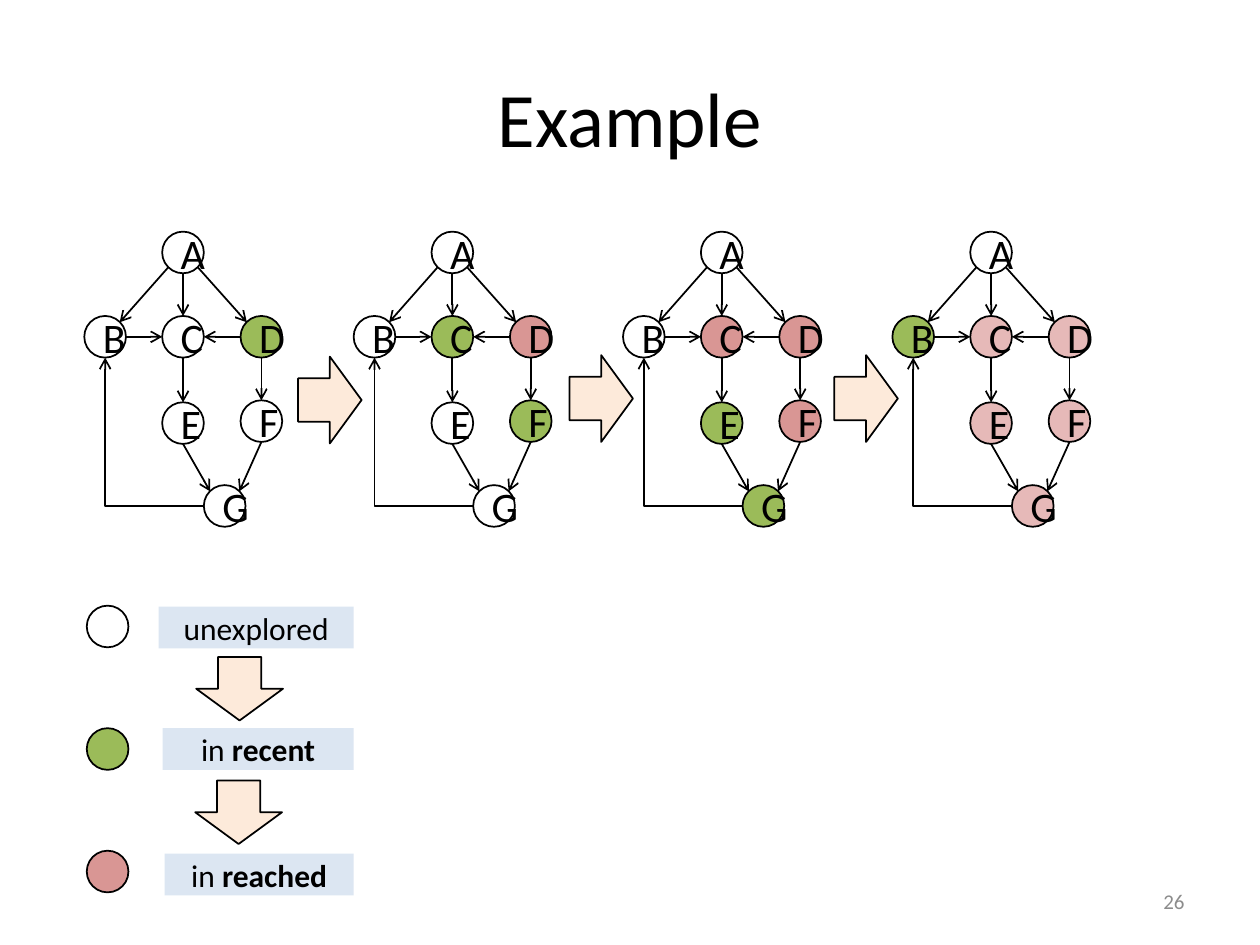
from lxml.etree import SubElement
from pptx import Presentation
from pptx.dml.color import RGBColor
from pptx.enum.shapes import MSO_CONNECTOR, MSO_SHAPE
from pptx.enum.text import MSO_ANCHOR, PP_ALIGN
from pptx.oxml.ns import qn
from pptx.util import Cm, Pt

HUES = {"ink": "000000", "white": "FFFFFF", "green": "9BBB59", "red": "D99694",
        "pink": "E6B9B8", "label": "DCE6F2", "arrow": "FDEADA", "gray": "8C8C8C"}


def write(shape, runs, size, hue="ink", align=PP_ALIGN.CENTER):
    frame = shape.text_frame
    for key, value in {"word_wrap": True, "vertical_anchor": MSO_ANCHOR.MIDDLE}.items():
        setattr(frame, key, value)
    para = frame.paragraphs[0]
    para.alignment = align
    for text, bold in runs:
        run = para.add_run()
        run.text = text
        for key, value in {"name": "Calibri", "size": Pt(size), "bold": bold}.items():
            setattr(run.font, key, value)
        run.font.color.rgb = RGBColor.from_string(HUES[hue])


def draw(pool, kind, box, fill, edge=True):
    shape = pool.add_shape(kind, *map(Cm, box))
    shape.shadow.inherit = False
    shape.fill.solid()
    shape.fill.fore_color.rgb = RGBColor.from_string(HUES[fill])
    if edge:
        shape.line.color.rgb = RGBColor.from_string(HUES["ink"])
        shape.line.width = Pt(1)
    else:
        shape.line.fill.background()
    return shape


deck = Presentation()
for key, value in {"slide_width": Cm(25.4), "slide_height": Cm(19.05)}.items():
    setattr(deck, key, value)
slide = deck.slides.add_slide(deck.slide_layouts[6])
shapes = slide.shapes

title = shapes.add_textbox(Cm(1.27), Cm(0.76), Cm(22.86), Cm(3.18))
write(title, [("Example", False)], 44)
number = shapes.add_textbox(Cm(18.2), Cm(17.66), Cm(5.93), Cm(1.01))
write(number, [("26", False)], 12, "gray", PP_ALIGN.RIGHT)

SIZE = 0.84
LEFT, STEP = 1.7, 5.43
NODES = {"A": (1.57, 4.67), "G": (2.41, 9.78), "F": (3.15, 8.07), "E": (1.57, 8.11),
         "D": (3.15, 6.37), "C": (1.57, 6.37), "B": (0, 6.37)}
SIDES = {"n": (0.5, 0), "s": (0.5, 1), "w": (0, 0.5), "e": (1, 0.5),
         "nw": (0.15, 0.15), "ne": (0.85, 0.15), "sw": (0.15, 0.85), "se": (0.85, 0.85)}
EDGES = [("A", "sw", "B", "ne"), ("A", "se", "D", "nw"), ("A", "s", "C", "n"),
         ("B", "e", "C", "w"), ("D", "w", "C", "e"), ("C", "s", "E", "n"),
         ("D", "s", "F", "n"), ("E", "s", "G", "nw"), ("F", "s", "G", "ne"),
         ("G", "w", "B", "s")]
STATES = [{"green": "D"}, {"green": "CF", "red": "D"},
          {"green": "EG", "red": "CDF"}, {"green": "B", "pink": "CDEFG"}]

for index, state in enumerate(STATES):
    base = LEFT + index * STEP
    pool = shapes.add_group_shape().shapes
    for name, (x, y) in NODES.items():
        fill = next((hue for hue, names in state.items() if name in names), "white")
        node = draw(pool, MSO_SHAPE.OVAL, (base + x, y, SIZE, SIZE), fill)
        write(node, [(name, False)], 24)
    for start, out, end, into in EDGES:
        ends = []
        for name, side in ((start, out), (end, into)):
            (x, y), (dx, dy) = NODES[name], SIDES[side]
            ends.append((Cm(base + x + dx * SIZE), Cm(y + dy * SIZE)))
        bent = start == "G"
        if bent:
            ends.reverse()
        kind = MSO_CONNECTOR.ELBOW if bent else MSO_CONNECTOR.STRAIGHT
        link = pool.add_connector(kind, *ends[0], *ends[1])
        link.line.color.rgb = RGBColor.from_string(HUES["ink"])
        link.line.width = Pt(1)
        props = link.element.find(qn("p:spPr"))
        if bent:
            props.find(qn("a:xfrm")).set("rot", "10800000")
            props.find(qn("a:prstGeom")).set("prst", "bentConnector2")
        SubElement(props.find(qn("a:ln")), qn("a:tailEnd"), type="arrow")
        SubElement(props, qn("a:effectLst"))

LEGEND = [("green", 14.68, 3.28, 14.68, [("in ", False), ("recent", True)]),
          ("red", 17.15, 3.32, 17.21, [("in ", False), ("reached", True)]),
          ("white", 12.21, 3.2, 12.23, [("unexplored", False)])]
RIGHT = 7.13
for fill, top, left, y, runs in LEGEND:
    pool = shapes.add_group_shape().shapes
    draw(pool, MSO_SHAPE.OVAL, (1.75, top, SIZE, SIZE), fill)
    label = draw(pool, MSO_SHAPE.RECTANGLE, (left, y, RIGHT - left, SIZE), "label", False)
    write(label, runs, 18)

ARROWS = [(6.01, 7.19, 0), (16.82, 7.16, 0), (11.48, 7.16, 0),
          (4.19, 13.01, 90), (4.17, 15.5, 90)]
for x, y, turn in ARROWS:
    arrow = draw(shapes, MSO_SHAPE.RIGHT_ARROW, (x, y, 1.28, 1.75), "arrow")
    arrow.rotation = turn

deck.save("out.pptx")
